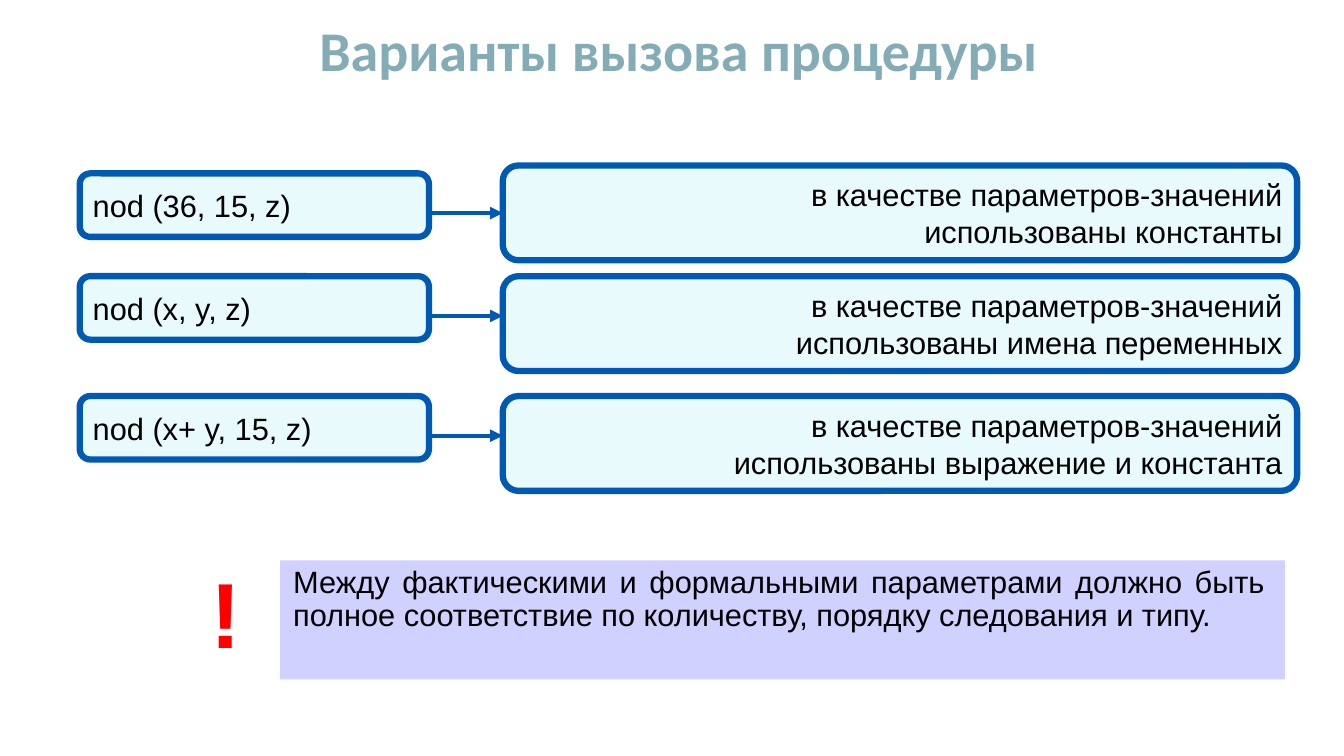
from pptx import Presentation
from pptx.dml.color import RGBColor
from pptx.enum.shapes import MSO_CONNECTOR as Connector, MSO_SHAPE as Shape
from pptx.enum.text import MSO_ANCHOR as Anchor, PP_ALIGN as Align
from pptx.oxml.ns import qn
from pptx.util import Cm, Pt
from lxml.etree import SubElement

BLUE, PALE, LILAC = "005AB4", "E8FAFC", "D1D1FF"
CALL_LEFT, CALL_WIDTH, CALL_HEIGHT = 2.01, 8.8, 1.6
MEANING_LEFT, MEANING_WIDTH, MEANING_HEIGHT = 12.67, 20.02, 2.39
ARROW_DROP = 1.0
SHARED_WORDS = "в качестве параметров-значений"
VARIANTS = [
    (4.37, 4.17, "nod (36, 15, z)", "использованы константы"),
    (6.96, 6.96, "nod (x, y, z)", "использованы имена переменных"),
    (9.98, 9.98, "nod (x+ y, 15, z)", "использованы выражение и константа"),
]
RULE = ("Между фактическими и формальными параметрами должно быть "
        "полное соответствие по количеству, порядку следования и типу.")


def color(hex_string):
    """Turn a hex string into a colour."""
    return RGBColor.from_string(hex_string)


def write(frame, lines, align, size=22, font="Arial", ink="000000",
          bold=False, spacing=None):
    """Fill a text frame with one paragraph per line."""
    for index, line in enumerate(lines):
        paragraph = frame.add_paragraph() if index else frame.paragraphs[0]
        paragraph.alignment = align
        paragraph.line_spacing = spacing
        run = paragraph.add_run()
        run.text = line
        run.font.name = font
        run.font.size = Pt(size)
        run.font.bold = bold
        run.font.color.rgb = color(ink)


def add_label(slide, box, lines, align, anchor=Anchor.TOP, **style):
    """Add wrapped text without a frame."""
    frame = slide.shapes.add_textbox(*map(Cm, box)).text_frame
    frame.word_wrap = True
    frame.vertical_anchor = anchor
    write(frame, lines, align, **style)


def add_panel(slide, box, fill, kind=Shape.RECTANGLE):
    """Add a flat filled shape without an outline."""
    panel = slide.shapes.add_shape(kind, *map(Cm, box))
    panel.shadow.inherit = False
    panel.fill.solid()
    panel.fill.fore_color.rgb = color(fill)
    panel.line.fill.background()
    return panel


def add_card(slide, box, lines, align):
    """Add an outlined rounded card with text."""
    card = add_panel(slide, box, PALE, Shape.ROUNDED_RECTANGLE)
    card.line.color.rgb = color(BLUE)
    card.line.width = Pt(4.5)
    card.text_frame.word_wrap = False
    card.text_frame.vertical_anchor = Anchor.MIDDLE
    write(card.text_frame, lines, align)


def add_arrow(slide, start, end, y):
    """Add a horizontal arrow."""
    arrow = slide.shapes.add_connector(
        Connector.STRAIGHT, Cm(start), Cm(y), Cm(end), Cm(y))
    arrow.line.color.rgb = color(BLUE)
    arrow.line.width = Pt(3)
    SubElement(arrow.line._get_or_add_ln(), qn("a:tailEnd"), type="triangle")
    SubElement(arrow._element.spPr, qn("a:effectLst"))


def add_variant(slide, call_top, meaning_top, call, meaning):
    """Add a call, its meaning and the arrow between them."""
    add_card(slide, (MEANING_LEFT, meaning_top, MEANING_WIDTH, MEANING_HEIGHT),
             [SHARED_WORDS, meaning], Align.RIGHT)
    add_card(slide, (CALL_LEFT, call_top, CALL_WIDTH, CALL_HEIGHT),
             [call], Align.LEFT)
    add_arrow(slide, CALL_LEFT + CALL_WIDTH, MEANING_LEFT,
              call_top + ARROW_DROP)


def main():
    """Build and save the slide."""
    deck = Presentation()
    deck.slide_width, deck.slide_height = Cm(33.87), Cm(19.05)
    slide = deck.slides.add_slide(deck.slide_layouts[6])
    add_label(slide, (2.01, 0.53, 30.18, 1.4), ["Варианты вызова процедуры"],
              Align.CENTER, Anchor.MIDDLE, size=40, font="Calibri",
              ink="84ACB6", bold=True)
    for variant in VARIANTS:
        add_variant(slide, *variant)
    add_panel(slide, (7.06, 14.12, 25.32, 3.0), LILAC)
    add_label(slide, (7.14, 14.15, 24.99, 1.96), [RULE], Align.JUSTIFY,
              spacing=0.9)
    add_label(slide, (4.78, 13.89, 1.85, 3.07), ["!"], Align.CENTER,
              size=66, ink="FF0000", bold=True)
    deck.save("out.pptx")


if __name__ == "__main__":
    main()
